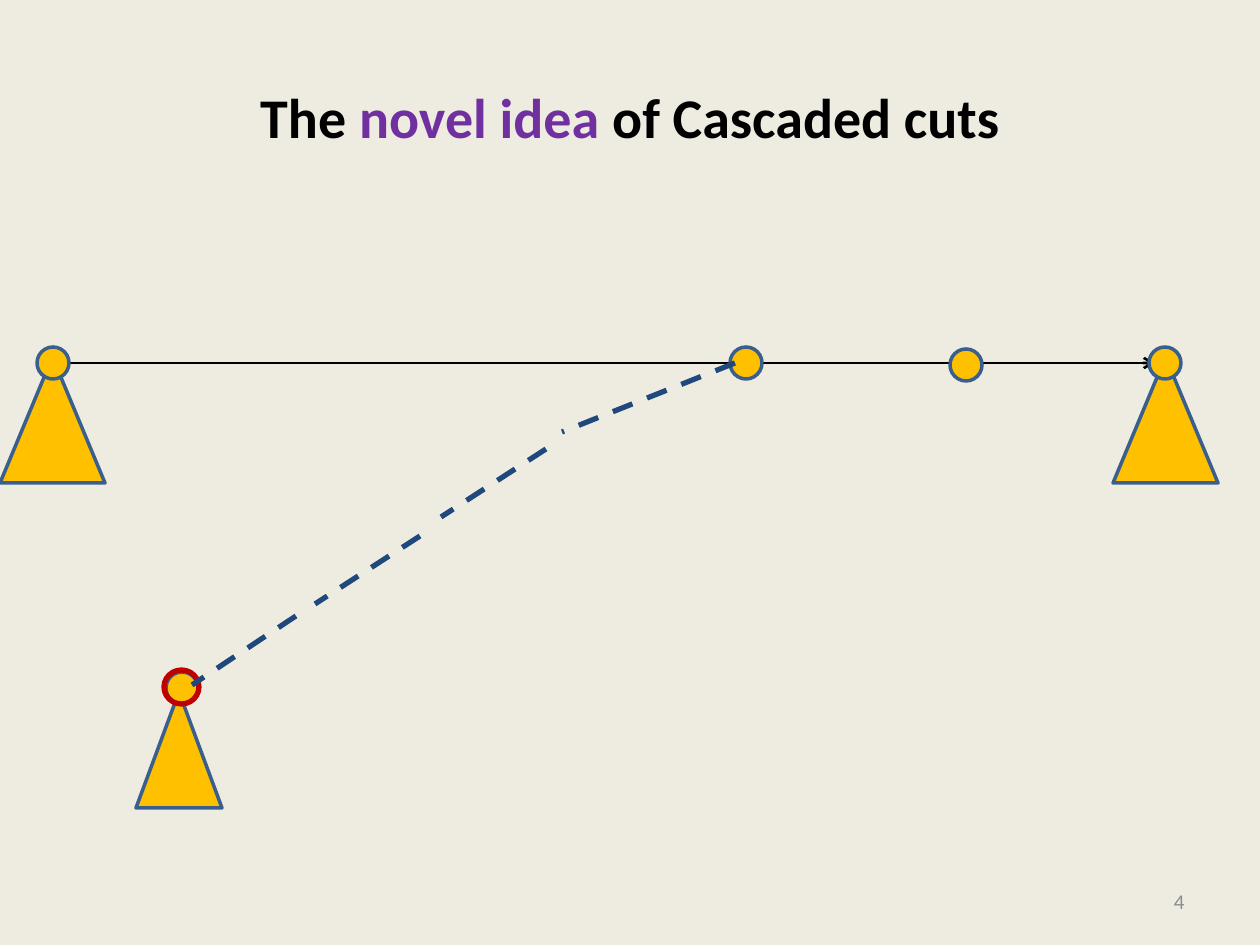
from dataclasses import dataclass

from lxml.etree import SubElement
from pptx import Presentation
from pptx.dml.color import RGBColor
from pptx.enum.dml import MSO_LINE
from pptx.enum.shapes import MSO_CONNECTOR, MSO_SHAPE
from pptx.enum.text import MSO_ANCHOR, PP_ALIGN
from pptx.oxml.ns import qn
from pptx.util import Emu, Pt

PIXELS_PER_INCH = 126
COLORS = {
    "background": "EEECE1",
    "text": "000000",
    "highlight": "7030A0",
    "number": "8C8C8C",
    "fill": "FFC000",
    "outline": "3A5F8C",
    "ring": "C00000",
    "dash": "1F497D",
}


@dataclass(frozen=True)
class Box:
    left: int
    top: int
    width: int
    height: int


@dataclass(frozen=True)
class Segment:
    start: tuple[int, int]
    end: tuple[int, int]


def px(length: int) -> Emu:
    return Emu(round(length * 914400 / PIXELS_PER_INCH))


def color(name: str) -> RGBColor:
    return RGBColor.from_string(COLORS[name])


def geometry(box: Box) -> tuple[Emu, Emu, Emu, Emu]:
    return px(box.left), px(box.top), px(box.width), px(box.height)


def add_outlined(slide, preset, box: Box, line: str, width: float, fill: str | None = None):
    shape = slide.shapes.add_shape(preset, *geometry(box))
    shape.shadow.inherit = False
    if fill:
        shape.fill.solid()
        shape.fill.fore_color.rgb = color(fill)
    else:
        shape.fill.background()
    shape.line.color.rgb = color(line)
    shape.line.width = Pt(width)
    return shape


def add_segment(slide, segment: Segment, line: str, width: float):
    connector = slide.shapes.add_connector(
        MSO_CONNECTOR.STRAIGHT, *map(px, segment.start + segment.end)
    )
    connector.line.color.rgb = color(line)
    connector.line.width = Pt(width)
    SubElement(connector._element.spPr, qn("a:effectLst"))
    return connector


def add_text(slide, box: Box, runs: list[tuple[str, str]], size: int,
             alignment: PP_ALIGN, bold: bool = False) -> None:
    frame = slide.shapes.add_textbox(*geometry(box)).text_frame
    frame.word_wrap = True
    frame.vertical_anchor = MSO_ANCHOR.MIDDLE
    paragraph = frame.paragraphs[0]
    paragraph.alignment = alignment
    paragraph.font.name = "Calibri"
    paragraph.font.size = Pt(size)
    paragraph.font.bold = bold
    for text, name in runs:
        run = paragraph.add_run()
        run.text = text
        run.font.color.rgb = color(name)


TITLE = [("The ", "text"), ("novel idea ", "highlight"), ("of Cascaded cuts", "text")]
NODE_SIZE = 32
TRACK = Segment((68, 363), (1155, 363))
SUBTREES = [Box(136, 692, 86, 116), Box(0, 357, 105, 126), Box(1113, 357, 105, 126)]
NODES = [(166, 672), (37, 347), (730, 347), (950, 349), (1149, 347)]
RING = Box(164, 670, 35, 34)
DASHES = [
    Segment((420, 536), (315, 604)),
    Segment((296, 616), (192, 685)),
    Segment((735, 363), (562, 432)),
    Segment((546, 449), (441, 517)),
]

presentation = Presentation()
presentation.slide_width, presentation.slide_height = px(1260), px(945)
slide = presentation.slides.add_slide(presentation.slide_layouts[6])
slide.background.fill.solid()
slide.background.fill.fore_color.rgb = color("background")

add_text(slide, Box(63, 38, 1134, 157), TITLE, 32, PP_ALIGN.CENTER, bold=True)
add_text(slide, Box(903, 876, 294, 50), [("4", "number")], 12, PP_ALIGN.RIGHT)

track = add_segment(slide, TRACK, "text", 1.5)
SubElement(track.line._get_or_add_ln(), qn("a:tailEnd"), type="arrow")

for subtree in SUBTREES:
    add_outlined(slide, MSO_SHAPE.ISOSCELES_TRIANGLE, subtree, "outline", 2, "fill")
for left, top in NODES:
    node = Box(left, top, NODE_SIZE, NODE_SIZE)
    add_outlined(slide, MSO_SHAPE.OVAL, node, "outline", 2, "fill")
add_outlined(slide, MSO_SHAPE.OVAL, RING, "ring", 3)

for segment in DASHES:
    add_segment(slide, segment, "dash", 3).line.dash_style = MSO_LINE.DASH

presentation.save("out.pptx")
